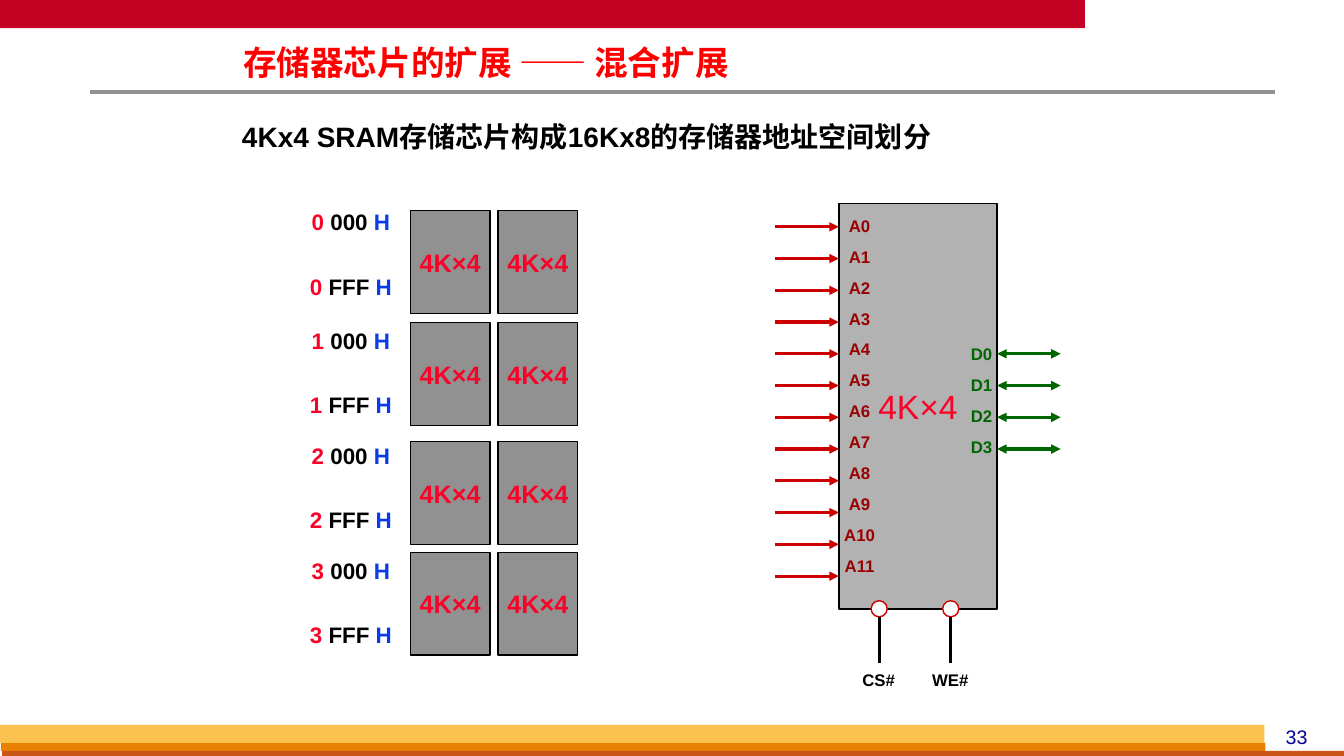
from lxml import etree
from pptx import Presentation
from pptx.dml.color import RGBColor
from pptx.enum.shapes import MSO_CONNECTOR, MSO_SHAPE
from pptx.enum.text import MSO_ANCHOR, MSO_AUTO_SIZE, PP_ALIGN
from pptx.oxml.ns import qn
from pptx.util import Inches, Pt

RECTANGLE, OVAL = MSO_SHAPE.RECTANGLE, MSO_SHAPE.OVAL
STRAIGHT = MSO_CONNECTOR.STRAIGHT
LEFT, CENTER = PP_ALIGN.LEFT, PP_ALIGN.CENTER
TOP, MIDDLE = MSO_ANCHOR.TOP, MSO_ANCHOR.MIDDLE

LATIN, CHINESE = "Arial", "Noto Sans CJK SC"
COLORS = {
    "banner": "C30224", "rule": "919191", "gold": "FCC24F", "orange": "E88000",
    "rust": "C95616", "number": "000099", "title": "FF0000", "black": "000000",
    "white": "FFFFFF", "bank": "919191", "chip": "B2B2B2", "red": "FC0128",
    "blue": "063DE8", "address arrow": "CC0000", "address label": "990000",
    "data": "006600",
}

TITLE = "存储器芯片的扩展 —— 混合扩展"
SUBTITLE = "4Kx4 SRAM存储芯片构成16Kx8的存储器地址空间划分"
PAGE_NUMBER = "33"
CHIP_NAME = "4K×4"
RANGE_ENDS = ["000 ", "FFF "]
ADDRESS_PINS = [f"A{i}" for i in range(12)]
DATA_PINS = [f"D{i}" for i in range(4)]
CONTROL_PINS = ["CS#", "WE#"]

# Left, top, width, height in inches
FRAME_BARS = [
    ("banner", (0, 0, 10.76, 0.28)),
    ("orange", (0.01, 7.37, 12.54, 0.08)),
    ("rust", (0.02, 7.45, 13.31, 0.05)),
    ("gold", (0, 7.19, 12.54, 0.18)),
]
BANK_ROWS = [(2.09, 2.02), (3.2, 3.2), (4.38, 4.34), (5.48, 5.48)]  # chip top, label top
BANK_LEFT, BANK_PITCH, BANK_WIDTH, BANK_HEIGHT = 4.07, 0.87, 0.79, 1.02
LABEL_LEFT, LABEL_WIDTH, LABEL_HEIGHT = 2.89, 1.18, 1.06
CHIP_LEFT, CHIP_TOP, CHIP_WIDTH, CHIP_HEIGHT = 8.32, 2.02, 1.57, 4.02
PIN_TOP, PIN_PITCH, PIN_LENGTH = 2.25, 0.315, 0.63
FIRST_DATA_ROW = 4
CONTROL_LEFT, CONTROL_PITCH, BUBBLE = 8.72, 0.71, 0.16


def color(name):
    return RGBColor.from_string(COLORS[name])


def place(shape, box):
    shape.left, shape.top, shape.width, shape.height = map(Inches, box)


def set_font(paragraph, size, name, bold=True, typeface=LATIN):
    font = paragraph.font
    font.size, font.bold, font.name = Pt(size), bold, typeface
    font.color.rgb = color(name)


def add_block(slide, kind, box, fill, outline=None):
    shape = slide.shapes.add_shape(kind, *map(Inches, box))
    shape.shadow.inherit = False
    shape.fill.solid()
    shape.fill.fore_color.rgb = color(fill)
    if outline:
        shape.line.color.rgb = color(outline)
        shape.line.width = Pt(1)
    else:
        shape.line.fill.background()
    return shape


def add_chip(slide, box, fill, size, bold):
    frame = add_block(slide, RECTANGLE, box, fill, "black").text_frame
    frame.word_wrap = False
    frame.vertical_anchor = MIDDLE
    paragraph = frame.paragraphs[0]
    paragraph.text = CHIP_NAME
    paragraph.alignment = CENTER
    set_font(paragraph, size, "red", bold)


def add_line(slide, start, end, name, width=2.25, arrows=()):
    """Arrows lists the ends to point: headEnd at the start, tailEnd at the end."""
    line = slide.shapes.add_connector(STRAIGHT, *map(Inches, start + end))
    line.line.color.rgb = color(name)
    line.line.width = Pt(width)
    for arrow in arrows:
        etree.SubElement(line.line._ln, qn(f"a:{arrow}"), type="triangle")
    etree.SubElement(line._element.spPr, qn("a:effectLst"))


def add_labels(slide, box, lines, size, name, gap=0, bold=True):
    """Centred lines with a fixed gap; a line is a list of (text, colour) runs."""
    frame = slide.shapes.add_textbox(*map(Inches, box)).text_frame
    frame.word_wrap = True
    for index, runs in enumerate(lines):
        paragraph = frame.add_paragraph() if index else frame.paragraphs[0]
        paragraph.alignment = CENTER
        if index:
            paragraph.space_before = Pt(gap)
        set_font(paragraph, size, name, bold)
        for text, run_color in runs:
            run = paragraph.add_run()
            run.text = text
            run.font.color.rgb = color(run_color)
    return frame


def fill_heading(placeholder, box, text, size, name, typeface):
    place(placeholder, box)
    frame = placeholder.text_frame
    frame.auto_size = MSO_AUTO_SIZE.NONE
    frame.vertical_anchor = TOP
    frame.margin_left = frame.margin_right = Inches(0.07)
    frame.margin_top = frame.margin_bottom = Inches(0.03)
    paragraph = frame.paragraphs[0]
    paragraph.text = text
    paragraph.alignment = LEFT
    paragraph.space_before = Pt(0)
    properties = paragraph._p.get_or_add_pPr()
    properties.set("marL", "0")
    properties.set("indent", "0")
    etree.SubElement(properties, qn("a:buNone"))
    set_font(paragraph, size, name, typeface=typeface)
    run_properties = paragraph.runs[0]._r.get_or_add_rPr()
    etree.SubElement(run_properties, qn("a:ea"), typeface=CHINESE)
    return paragraph


def draw_frame(slide):
    for name, box in FRAME_BARS:
        add_block(slide, RECTANGLE, box, name)
    add_line(slide, (0.89, 0.91), (12.65, 0.91), "rule", 3)
    add_labels(slide, (12.44, 7.14, 0.84, 0.33), [[(PAGE_NUMBER, "number")]],
               14, "number", bold=False)


def draw_banks(slide):
    for bank, (chip_top, label_top) in enumerate(BANK_ROWS):
        for column in range(2):
            left = BANK_LEFT + column * BANK_PITCH
            add_chip(slide, (left, chip_top, BANK_WIDTH, BANK_HEIGHT), "bank", 18, True)
        lines = [[(f"{bank} ", "red"), (end, "black"), ("H", "blue")] for end in RANGE_ENDS]
        add_labels(slide, (LABEL_LEFT, label_top, LABEL_WIDTH, LABEL_HEIGHT),
                   lines, 16, "black", 26.6)


def draw_chip(slide):
    add_chip(slide, (CHIP_LEFT, CHIP_TOP, CHIP_WIDTH, CHIP_HEIGHT), "chip", 24, False)
    right, bottom = CHIP_LEFT + CHIP_WIDTH, CHIP_TOP + CHIP_HEIGHT

    for row in range(len(ADDRESS_PINS)):
        y = PIN_TOP + row * PIN_PITCH
        add_line(slide, (CHIP_LEFT - PIN_LENGTH, y), (CHIP_LEFT, y),
                 "address arrow", arrows=["tailEnd"])
    frame = add_labels(slide, (CHIP_LEFT, 2.1, 0.47, 3.76),
                       [[(pin, "address label")] for pin in ADDRESS_PINS],
                       12, "address label", 7.65)
    frame.margin_left = frame.margin_top = frame.margin_bottom = Inches(0.04)

    for row in range(len(DATA_PINS)):
        y = PIN_TOP + (FIRST_DATA_ROW + row) * PIN_PITCH
        add_line(slide, (right, y), (right + PIN_LENGTH, y), "data",
                 arrows=["headEnd", "tailEnd"])
    add_labels(slide, (9.42, 3.36, 0.63, 1.25), [[(pin, "data")] for pin in DATA_PINS],
               12, "data", 7.65)

    for index, pin in enumerate(CONTROL_PINS):
        x = CONTROL_LEFT + index * CONTROL_PITCH
        radius = BUBBLE / 2
        add_block(slide, OVAL, (x - radius, bottom - radius, BUBBLE, BUBBLE),
                  "white", "address arrow")
        add_line(slide, (x, bottom + radius), (x, 6.58), "black")
        add_labels(slide, (x - 0.32, 6.6, 0.63, 0.3), [[(pin, "black")]], 12, "black")


def main():
    presentation = Presentation()
    presentation.slide_width, presentation.slide_height = Inches(13.33), Inches(7.5)
    slide = presentation.slides.add_slide(presentation.slide_layouts[1])
    title = fill_heading(slide.shapes.title, (2.34, 0.44, 7.56, 0.41),
                         TITLE, 24, "title", CHINESE)
    title.line_spacing = 0.87
    fill_heading(slide.placeholders[1], (2.33, 1.16, 8.74, 0.39),
                 SUBTITLE, 20, "black", LATIN)
    draw_frame(slide)
    draw_banks(slide)
    draw_chip(slide)
    presentation.save("out.pptx")


if __name__ == "__main__":
    main()
